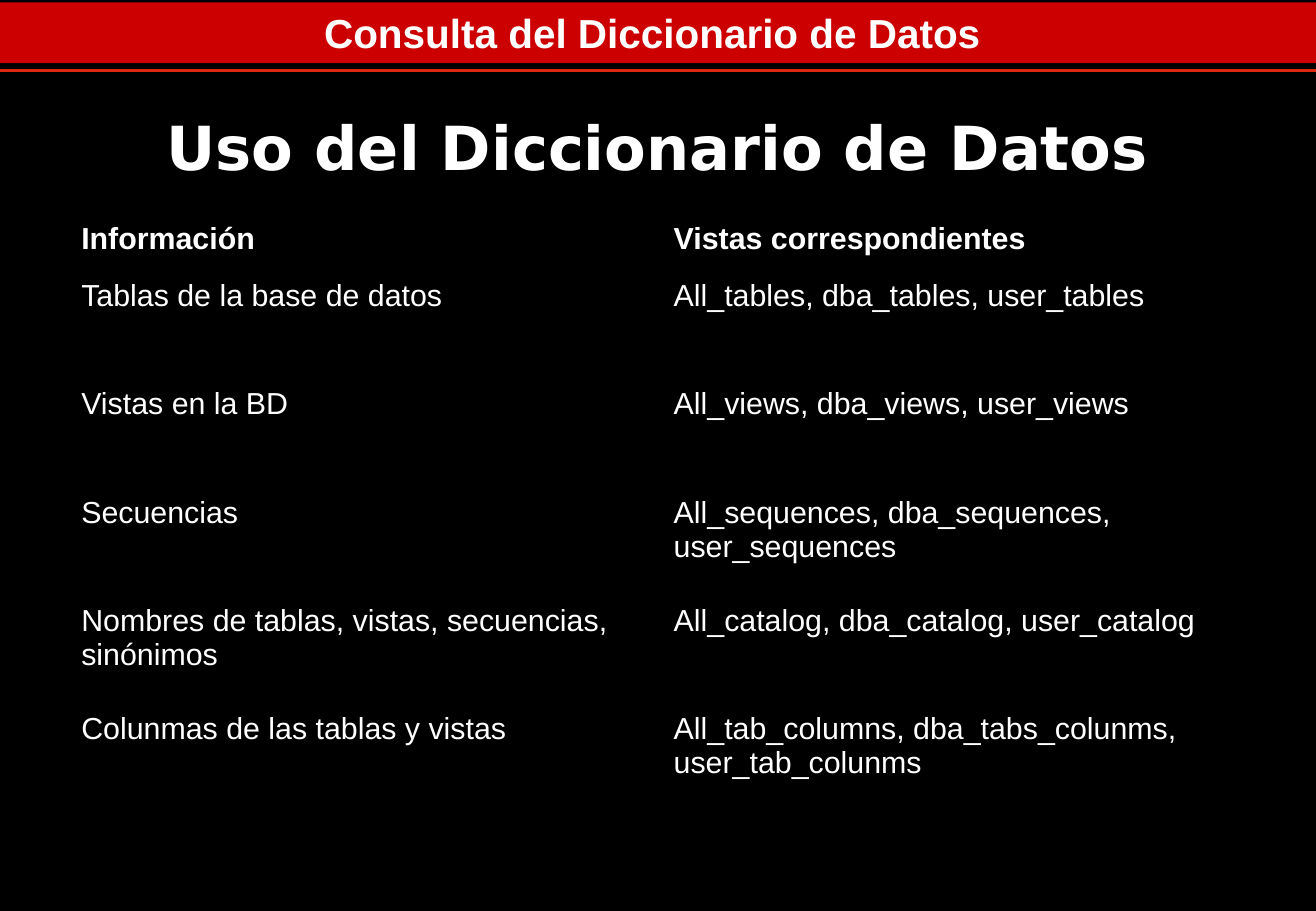
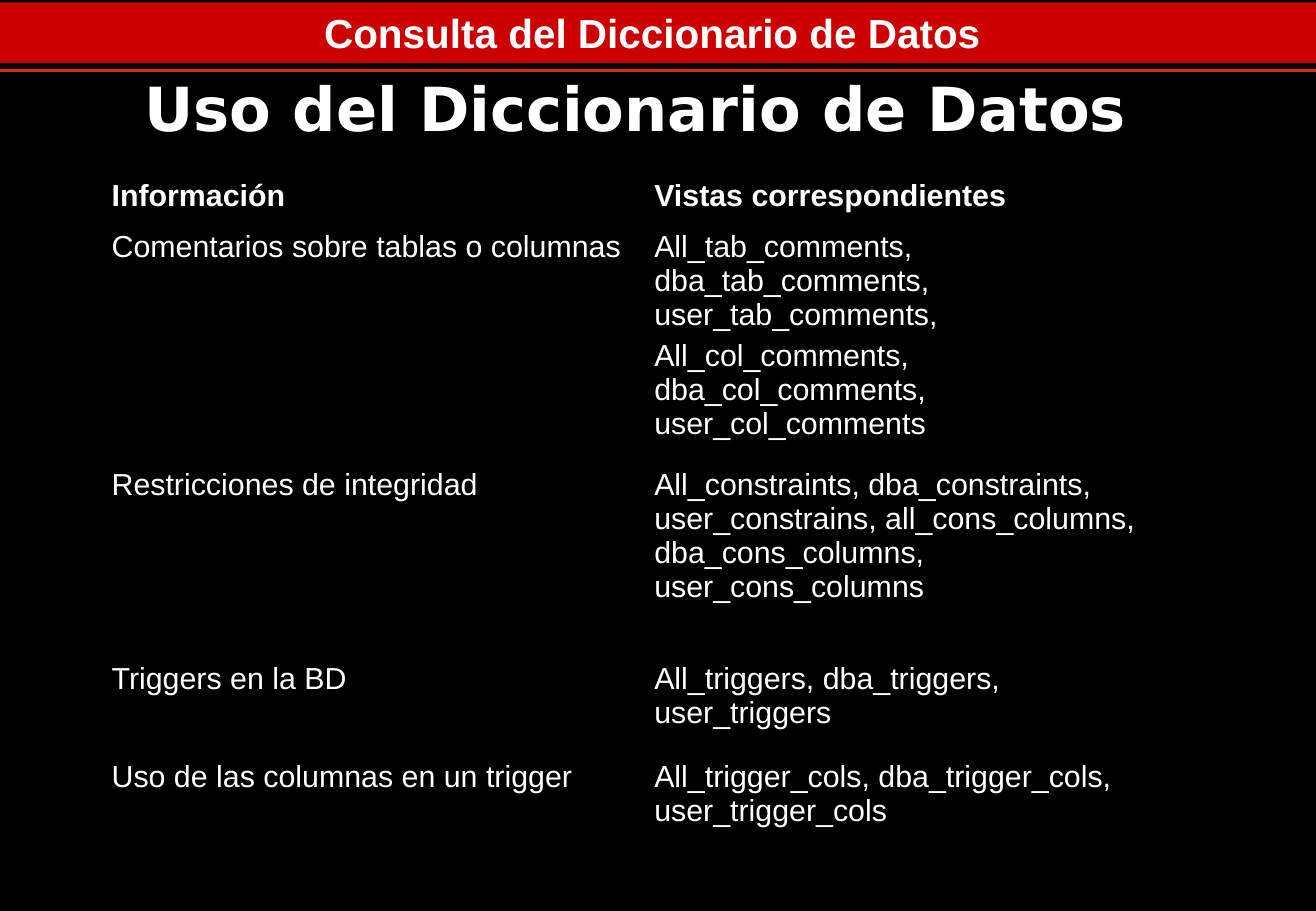
from dataclasses import dataclass

from lxml import etree
from pptx import Presentation
from pptx.dml.color import RGBColor as RGB
from pptx.enum.shapes import MSO_CONNECTOR as Conn, MSO_SHAPE as Shape
from pptx.enum.text import MSO_ANCHOR as Anchor, MSO_AUTO_SIZE as AutoSize, PP_ALIGN as Align
from pptx.oxml.ns import qn
from pptx.util import Inches, Pt


@dataclass(frozen=True)
class Theme:
    background: str = "000000"
    band: str = "CC0000"
    rule: str = "DD280F"
    text: str = "FFFFFF"
    border: str = "000000"
    body_font: str = "Arial"
    title_font: str = "DejaVu Sans"
    title_size: float = 36
    band_size: float = 24
    body_size: float = 18
    para_gap: float = 4.5
    rule_width: float = 2.25
    outer_border: float = 1.08
    inner_border: float = 0.45


T = Theme()
SLIDE_W, SLIDE_H = 10.84, 7.5
BAND_TEXT = "Consulta del Diccionario de Datos "
TITLE = "Uso del Diccionario de Datos"
HEADER = ("Información", "Vistas correspondientes")

# Each slide: title box, table corner, column widths, row heights, rows
SLIDES = [
    dict(
        title_box=(0.81, 0.58, 9.21, 1.25),
        corner=(0.56, 1.78),
        widths=(4.88, 4.87),
        heights=[0.47] + [0.89] * 5,
        rows=[
            ("Tablas de la base de datos", "All_tables, dba_tables, user_tables"),
            ("Vistas en la BD", "All_views, dba_views, user_views"),
            ("Secuencias", "All_sequences, dba_sequences, user_sequences"),
            ("Nombres de tablas, vistas, secuencias, sinónimos",
             "All_catalog, dba_catalog, user_catalog"),
            ("Colunmas de las tablas y vistas",
             "All_tab_columns, dba_tabs_colunms, user_tab_colunms"),
        ],
    ),
    dict(
        title_box=(0.36, 0.42, 9.75, 0.92),
        corner=(0.81, 1.42),
        widths=(4.47, 4.47),
        heights=[0.42, 1.96, 1.6, 0.81, 0.81],
        rows=[
            ("Comentarios sobre tablas o columnas",
             "All_tab_comments, dba_tab_comments, user_tab_comments,\n"
             "All_col_comments, dba_col_comments, user_col_comments"),
            ("Restricciones de integridad",
             "All_constraints, dba_constraints, user_constrains, "
             "all_cons_columns, dba_cons_columns, user_cons_columns"),
            ("Triggers en la BD", "All_triggers, dba_triggers, user_triggers"),
            ("Uso de las columnas en un trigger",
             "All_trigger_cols, dba_trigger_cols, user_trigger_cols"),
        ],
    ),
]


def write(tf, text, size=T.body_size, font=T.body_font, bold=False,
          align=Align.LEFT, gap=0):
    """Fill a text frame, one paragraph for each line of text."""
    tf.word_wrap = True
    for i, line in enumerate(text.split("\n")):
        p = tf.add_paragraph() if i else tf.paragraphs[0]
        p.alignment = align
        p.space_before = Pt(gap if i else 0)
        r = p.add_run()
        r.text = line
        r.font.size, r.font.name, r.font.bold = Pt(size), font, bold
        r.font.color.rgb = RGB.from_string(T.text)


def set_borders(cell, **widths):
    """Draw the borders of a cell; keys are L, R, T and B, in that order."""
    tcPr = cell._tc.get_or_add_tcPr()
    for side, width in widths.items():
        ln = etree.SubElement(tcPr, qn(f"a:ln{side}"), w=str(Pt(width)))
        fill = etree.SubElement(ln, qn("a:solidFill"))
        etree.SubElement(fill, qn("a:srgbClr"), val=T.border)


def add_band(slide, left, top, width, height):
    # Red heading band
    sp = slide.shapes.add_shape(Shape.RECTANGLE, Inches(left), Inches(top),
                                Inches(width), Inches(height))
    sp.shadow.inherit = False
    sp.fill.solid()
    sp.fill.fore_color.rgb = RGB.from_string(T.band)
    sp.line.fill.background()
    sp.text_frame.vertical_anchor = Anchor.MIDDLE
    write(sp.text_frame, BAND_TEXT, size=T.band_size, bold=True, align=Align.CENTER)

    # Thin rule below the band
    y = Inches(top + height + 0.06)
    rule = slide.shapes.add_connector(Conn.STRAIGHT, Inches(left), y,
                                      Inches(left + width), y)
    rule.line.color.rgb = RGB.from_string(T.rule)
    rule.line.width = Pt(T.rule_width)
    etree.SubElement(rule._element.spPr, qn("a:effectLst"))


def add_title(slide, box):
    title = slide.shapes.title
    title.left, title.top, title.width, title.height = map(Inches, box)
    tf = title.text_frame
    tf.auto_size = AutoSize.NONE
    tf.vertical_anchor = Anchor.MIDDLE
    write(tf, TITLE, size=T.title_size, font=T.title_font, bold=True, align=Align.CENTER)


def add_views_table(slide, corner, widths, heights, rows):
    grid = [HEADER, *rows]
    box = (*corner, sum(widths), sum(heights))
    table = slide.shapes.add_table(len(grid), len(widths), *map(Inches, box)).table
    table.first_row = table.horz_banding = False
    for column, width in zip(table.columns, widths):
        column.width = Inches(width)
    for row, height in zip(table.rows, heights):
        row.height = Inches(height)

    # Cells, with a heavier border around the table
    def edge(is_outer):
        return T.outer_border if is_outer else T.inner_border

    last_row, last_col = len(grid) - 1, len(widths) - 1
    for i, texts in enumerate(grid):
        for j, text in enumerate(texts):
            cell = table.cell(i, j)
            cell.margin_left = cell.margin_right = Inches(0.11)
            cell.margin_top = cell.margin_bottom = Inches(0.05)
            set_borders(cell, L=edge(j == 0), R=edge(j == last_col),
                        T=edge(i == 0), B=edge(i == last_row))
            cell.fill.background()
            write(cell.text_frame, text, bold=i == 0, gap=T.para_gap)


def add_dictionary_slide(prs, title_box, **table):
    slide = prs.slides.add_slide(prs.slide_layouts.get_by_name("Title Only"))
    add_title(slide, title_box)
    add_views_table(slide, **table)
    add_band(slide, 0, 0.02, SLIDE_W, 0.5)


def main():
    prs = Presentation()
    prs.slide_width, prs.slide_height = Inches(SLIDE_W), Inches(SLIDE_H)
    fill = prs.slide_master.background.fill
    fill.solid()
    fill.fore_color.rgb = RGB.from_string(T.background)
    for content in SLIDES:
        add_dictionary_slide(prs, **content)
    prs.save("out.pptx")


if __name__ == "__main__":
    main()
